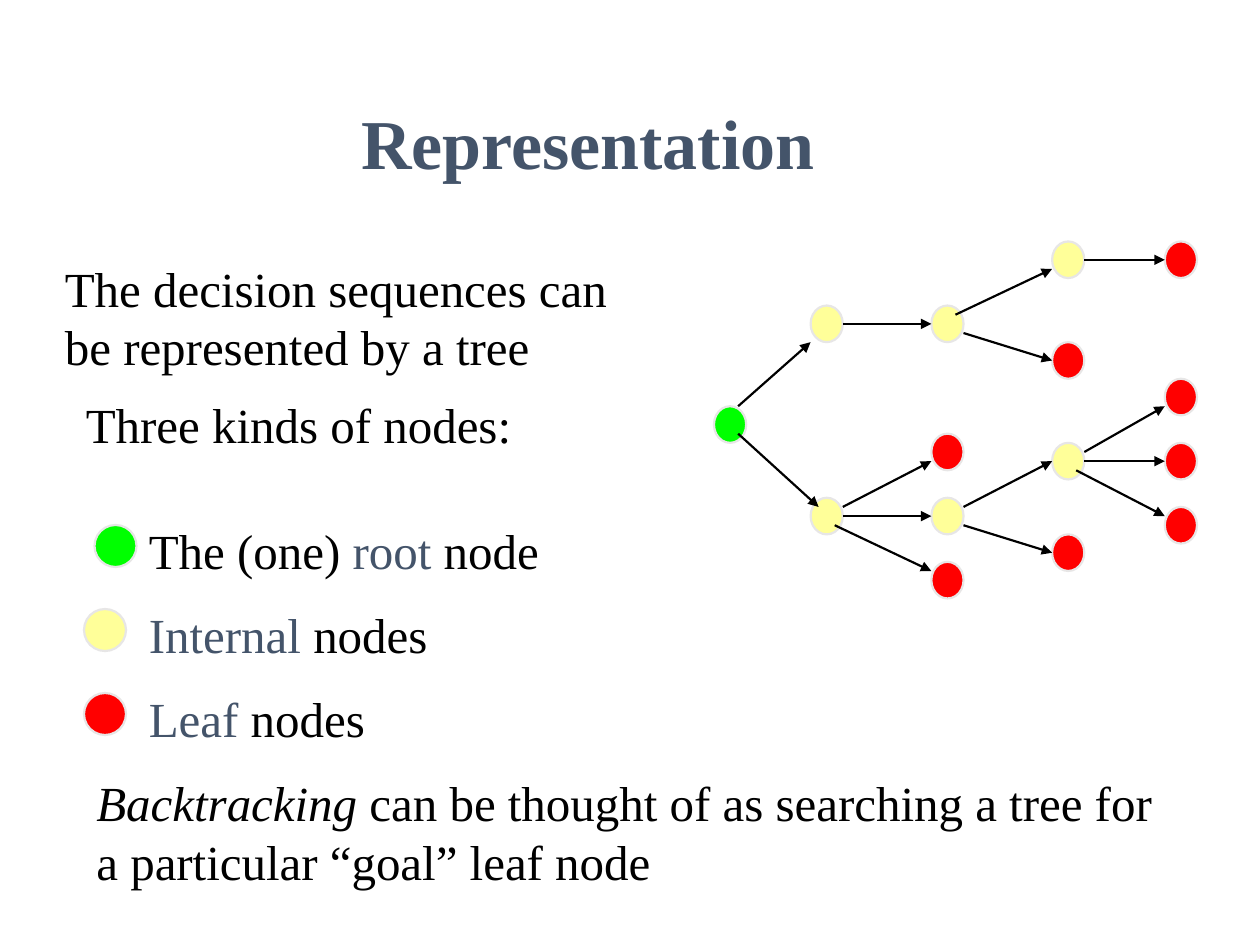
"""Build a slide on decision trees and their kinds of nodes."""
from dataclasses import dataclass

from lxml.etree import SubElement
from pptx import Presentation as Deck
from pptx.dml.color import RGBColor as Rgb
from pptx.enum.shapes import MSO_CONNECTOR as Link, MSO_SHAPE as Form
from pptx.enum.text import MSO_ANCHOR as Anchor, PP_ALIGN as Align
from pptx.oxml.ns import qn
from pptx.util import Inches, Pt


@dataclass(frozen=True)
class Theme:
    """Colours, type sizes and line width."""
    ink: str = "000000"
    key: str = "44546A"
    root: str = "00FF00"
    inner: str = "FFFF99"
    leaf: str = "FF0000"
    rim: str = "E7E6E6"
    font: str = "Times New Roman"
    head: int = 40
    body: int = 28
    rule: float = 1.25


LOOK = Theme()
UNIT = Inches(1) / 12
ONE = 6.84
TWO = 12.36
NODES = {
    "root": [(0, 18)],
    "inner": [(12, 7), (27, 7), (42, 0), (12, 28), (27, 28), (42, 22)],
    "leaf": [(27, 21), (42, 11), (42, 32), (27, 35),
             (56, 0), (56, 15), (56, 22), (56, 29)],
}
ARROWS = [
    (3, 21, 13, 29), (3, 18, 12, 11), (16, 9, 27, 9), (30, 8, 42, 3),
    (31, 10, 42, 13), (46, 2, 56, 2), (16, 29, 27, 24), (16, 30, 27, 30),
    (15, 31, 27, 36), (31, 29, 42, 24), (31, 31, 42, 34),
    (46, 23, 56, 18), (46, 24, 56, 24), (45, 25, 56, 30),
]
KEYS = [
    ("root", 9, 49, [("The (one) ", {}), ("root", {"tint": LOOK.key}), (" node", {})]),
    ("inner", 8, 50, [("Internal", {"tint": LOOK.key}), (" nodes", {})]),
    ("leaf", 8, 31, [("Leaf", {"tint": LOOK.key}), (" nodes", {})]),
]


def grid(*vals):
    """Turn grid steps into slide lengths."""
    return [round(val * UNIT) for val in vals]


def write(para, text, size=LOOK.body, tint=LOOK.ink, bold=False, slant=False):
    """Add a formatted run to a paragraph."""
    run = para.add_run()
    run.text = text
    font = run.font
    font.name, font.size = LOOK.font, Pt(size)
    font.bold, font.italic = bold, slant
    font.color.rgb = Rgb.from_string(tint)


def block(shapes, box, runs):
    """Place a wrapped text box holding one paragraph."""
    frame = shapes.add_textbox(*grid(*box)).text_frame
    frame.word_wrap = True
    for text, style in runs:
        write(frame.paragraphs[0], text, **style)


def node(shapes, box, kind):
    """Draw a round node in the colour of its kind."""
    dot = shapes.add_shape(Form.OVAL, *grid(*box))
    dot.shadow.inherit = False
    dot.fill.solid()
    dot.fill.fore_color.rgb = Rgb.from_string(getattr(LOOK, kind))
    dot.line.color.rgb = Rgb.from_string(LOOK.rim)
    dot.line.width = Pt(LOOK.rule)


def arrow(shapes, ends):
    """Draw a straight line with a head at its far end."""
    line = shapes.add_connector(Link.STRAIGHT, *grid(*ends))
    line.line.color.rgb = Rgb.from_string(LOOK.ink)
    line.line.width = Pt(LOOK.rule)
    SubElement(line.line._get_or_add_ln(), qn("a:tailEnd"), type="triangle")
    SubElement(line._element.spPr, qn("a:effectLst"))


def title(slide, box, text):
    """Place and format the title placeholder."""
    head = slide.shapes.title
    head.left, head.top, head.width, head.height = grid(*box)
    frame = head.text_frame
    frame.vertical_anchor = Anchor.MIDDLE
    para = frame.paragraphs[0]
    para.alignment = Align.CENTER
    write(para, text, size=LOOK.head, tint=LOOK.key, bold=True)


def tree(slide, box):
    """Draw the decision tree on a grid of 60 columns and 39 rows."""
    left, top, width, height = box
    col, row = width / 60, height / 39
    shapes = slide.shapes.add_group_shape().shapes
    for kind, spots in NODES.items():
        for x, y in spots:
            node(shapes, (left + x * col, top + y * row, 4 * col, 4 * row), kind)
    for x1, y1, x2, y2 in ARROWS:
        arrow(shapes, (left + x1 * col, top + y1 * row,
                       left + x2 * col, top + y2 * row))


def legend(slide, box):
    """List the kinds of nodes in equal rows."""
    left, top, _, height = box
    for i, (kind, x, width, runs) in enumerate(KEYS):
        y = top + i * height / len(KEYS)
        shapes = slide.shapes.add_group_shape().shapes
        node(shapes, (left + x - 8, y + 1, 4, 4), kind)
        block(shapes, (left + 5, y, width, ONE), runs)


def main():
    """Build the slide and save it."""
    deck = Deck()
    deck.slide_width, deck.slide_height = grid(120, 90)
    slide = deck.slides.add_slide(deck.slide_layouts[5])
    title(slide, (5, 6, 102, 15), "Representation")
    tree(slide, (68, 23, 46, 34))
    block(slide.shapes, (5, 24, 58, TWO),
          [("The decision sequences can be represented by a tree", {})])
    block(slide.shapes, (7, 37, 55, ONE), [("Three kinds of nodes:", {})])
    legend(slide, (8, 49, 55, 24))
    block(slide.shapes, (8, 73, 104, TWO), [
        ("Backtracking", {"slant": True}),
        (" can be thought of as searching a tree for a particular “goal” leaf node", {}),
    ])
    deck.save("out.pptx")


if __name__ == "__main__":
    main()
